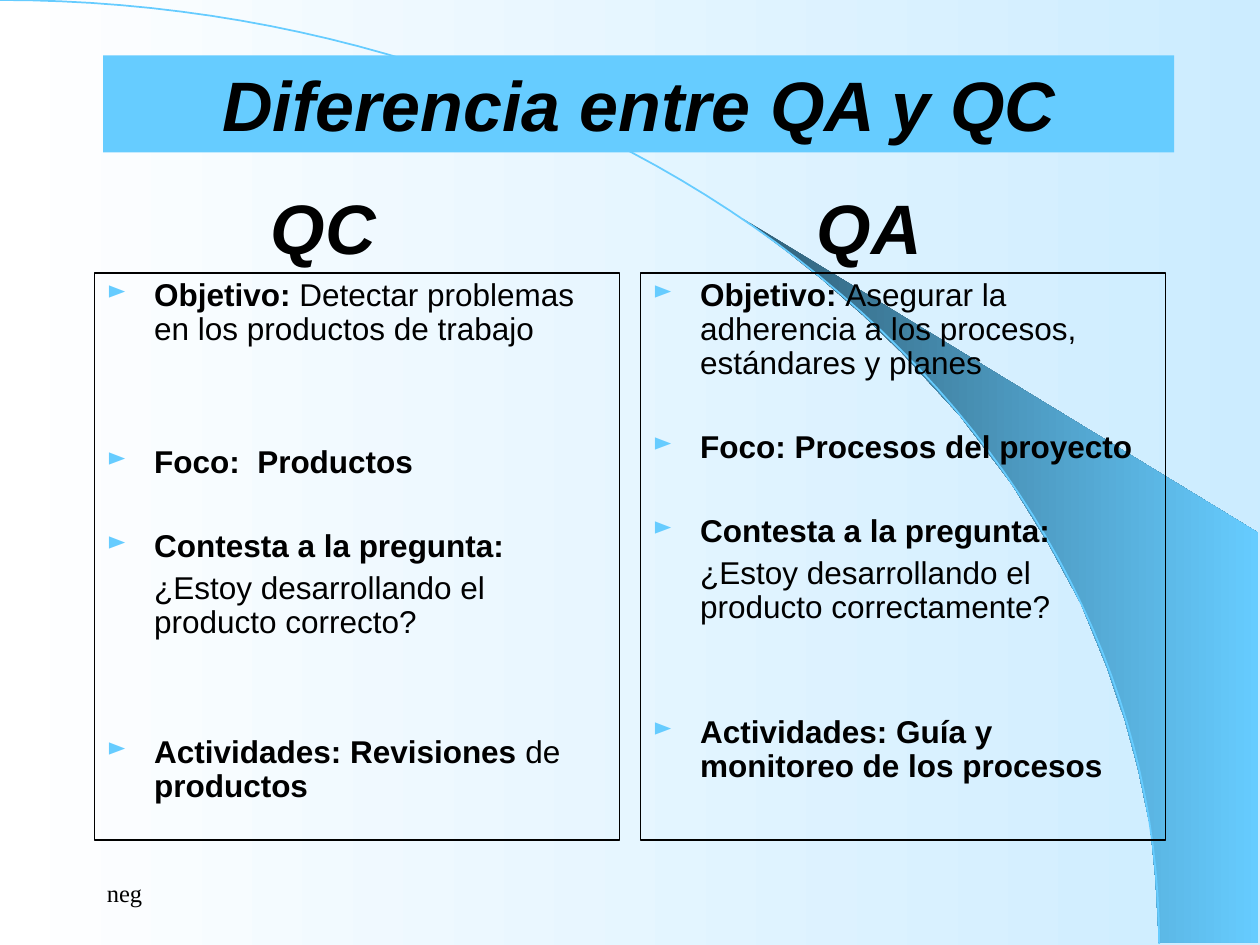
from dataclasses import dataclass
from math import cos, pi, sin
from lxml.etree import SubElement
from pptx import Presentation
from pptx.dml.color import RGBColor as Rgb
from pptx.enum.shapes import MSO_SHAPE as Shape
from pptx.enum.text import MSO_ANCHOR as Anchor, PP_ALIGN as Align
from pptx.oxml.ns import qn
from pptx.util import Pt


@dataclass(frozen=True)
class Theme:
    """Colours, fonts and type sizes of the slide."""
    black: Rgb = Rgb(0, 0, 0)
    white: Rgb = Rgb(255, 255, 255)
    sky: Rgb = Rgb(0x66, 0xCC, 0xFF)
    pale: Rgb = Rgb(0xCC, 0xEC, 0xFF)
    deep: Rgb = Rgb(0x2F, 0x5E, 0x76)
    sans: str = "Arial"
    serif: str = "Times New Roman"
    head: int = 40
    body: int = 18
    foot: int = 14


THEME = Theme()
EDGE = [
    (238.3, 414), (295.2, 414), (295.2, 180), (0, 0), (25.2, 18.7),
    (46.1, 35.3), (69.1, 55.4), (91.4, 77), (124.6, 113), (154.1, 151.9),
    (175, 185.8), (193.7, 220.3), (208.1, 255.6), (218.9, 287.3),
    (226.1, 313.9), (233.3, 347.8), (236.2, 376.6),
]
QC = [
    (0, True, [("Objetivo:", True),
               (" Detectar problemas en los productos de trabajo", False)]),
    (56.5, True, [("Foco:  Productos", True)]),
    (28.5, True, [("Contesta a la pregunta:", True)]),
    (4.5, False, [("¿Estoy desarrollando el producto correcto?", False)]),
    (55, True, [("Actividades: Revisiones ", True), ("de ", False),
                ("productos", True)]),
]
QA = [
    (0, True, [("Objetivo: ", True),
               ("Asegurar la adherencia a los procesos, estándares y planes",
                False)]),
    (28.5, True, [("Foco: Procesos del proyecto", True)]),
    (28.5, True, [("Contesta a la pregunta:", True)]),
    (4.5, False, [("¿Estoy desarrollando el producto correctamente?", False)]),
    (52, True, [("Actividades: Guía y monitoreo de los procesos", True)]),
]


def blend(fill, start, end):
    """Fill from left to right with a two-colour gradient."""
    fill.gradient()
    fill.gradient_angle = 0
    for stop, tone in zip(fill.gradient_stops, (start, end)):
        stop.color.rgb = tone


def write(para, text, size, bold=False, italic=False, face=THEME.sans):
    """Add one styled run to a paragraph."""
    run = para.add_run()
    run.text = text
    font = run.font
    font.name, font.size = face, Pt(size)
    font.bold, font.italic = bold, italic
    font.color.rgb = THEME.black


def trace(slide, left, top, points, close):
    """Draw a freeform through points measured from the left and top."""
    first, *rest = [(Pt(left + x), Pt(top + y)) for x, y in points]
    pen = slide.shapes.build_freeform(*first)
    pen.add_line_segments(rest, close=close)
    form = pen.convert_to_shape()
    form.shadow.inherit = False
    return form


def panel(slide, left, top, width, height):
    """Add a plain rectangle without a shadow."""
    rect = slide.shapes.add_shape(
        Shape.RECTANGLE, Pt(left), Pt(top), Pt(width), Pt(height))
    rect.shadow.inherit = False
    return rect


def label(slide, left, top, width, height):
    """Add a text box and return its frame."""
    box = slide.shapes.add_textbox(Pt(left), Pt(top), Pt(width), Pt(height))
    return box.text_frame


def scene(slide, width, height):
    """Draw the backdrop with its swoosh and long arc."""
    blend(slide.background.fill, THEME.white, THEME.pale)
    wing = trace(slide, width - 296, height - 415.4, EDGE, True)
    blend(wing.fill, THEME.deep, THEME.sky)
    wing.line.fill.background()
    steps = 60
    turns = [pi / 2 * i / steps for i in range(steps + 1)]
    curve = [(662.4 * sin(t), 539.3 * (1 - cos(t))) for t in turns]
    arc = trace(slide, 0, 0, curve, False)
    arc.fill.background()
    arc.line.color.rgb = THEME.sky
    arc.line.width = Pt(1)


def title(slide, left, top, width, height):
    """Place the title on its coloured band."""
    band = panel(slide, left, top, width, height)
    band.fill.solid()
    band.fill.fore_color.rgb = THEME.sky
    band.line.fill.background()
    frame = band.text_frame
    frame.word_wrap = True
    frame.vertical_anchor = Anchor.MIDDLE
    para = frame.paragraphs[0]
    para.alignment = Align.CENTER
    write(para, "Diferencia entre QA y QC", THEME.head, True, True)


def indent(para, marked):
    """Set the hanging indent and the arrow bullet if marked."""
    props = para._p.get_or_add_pPr()
    props.set("marL", str(Pt(27)))
    props.set("indent", str(Pt(-27 if marked else 0)))
    if marked:
        tone = SubElement(props, qn("a:buClr"))
        SubElement(tone, qn("a:srgbClr"), val=str(THEME.sky))
        SubElement(props, qn("a:buSzPct"), val="80000")
        SubElement(props, qn("a:buChar"), char="►")
    else:
        SubElement(props, qn("a:buNone"))


def column(slide, left, top, width, height, head, items):
    """Place a framed list with its heading above."""
    rect = panel(slide, left, top, width, height)
    rect.fill.background()
    rect.line.color.rgb = THEME.black
    rect.line.width = Pt(0.75)
    frame = rect.text_frame
    frame.word_wrap = True
    frame.vertical_anchor = Anchor.TOP
    for i, (gap, marked, runs) in enumerate(items):
        para = frame.add_paragraph() if i else frame.paragraphs[0]
        indent(para, marked)
        para.alignment = Align.LEFT
        para.line_spacing = 0.9
        para.space_before = Pt(gap)
        for text, bold in runs:
            write(para, text, THEME.body, bold)
    frame = label(slide, left + 93.6, top - 54, 74.2, 55.4)
    frame.word_wrap = False
    para = frame.paragraphs[0]
    para.alignment = Align.CENTER
    write(para, head, THEME.head, True, True)


def footer(slide, left, top, width, height):
    """Place the footer note."""
    frame = label(slide, left, top, width, height)
    frame.word_wrap = True
    frame.vertical_anchor = Anchor.MIDDLE
    write(frame.paragraphs[0], "neg", THEME.foot, face=THEME.serif)


def main():
    """Build and save the slide."""
    deck = Presentation()
    width, height = 720, 540
    deck.slide_width, deck.slide_height = Pt(width), Pt(height)
    slide = deck.slides.add_slide(deck.slide_layouts[6])
    scene(slide, width, height)
    footer(slide, 54, 492, 150, 36)
    for i, (head, items) in enumerate((("QC", QC), ("QA", QA))):
        column(slide, 54 + 312 * i, 156, 300, 324, head, items)
    title(slide, 59, 31.7, 612, 55.4)
    deck.save("out.pptx")


if __name__ == "__main__":
    main()
